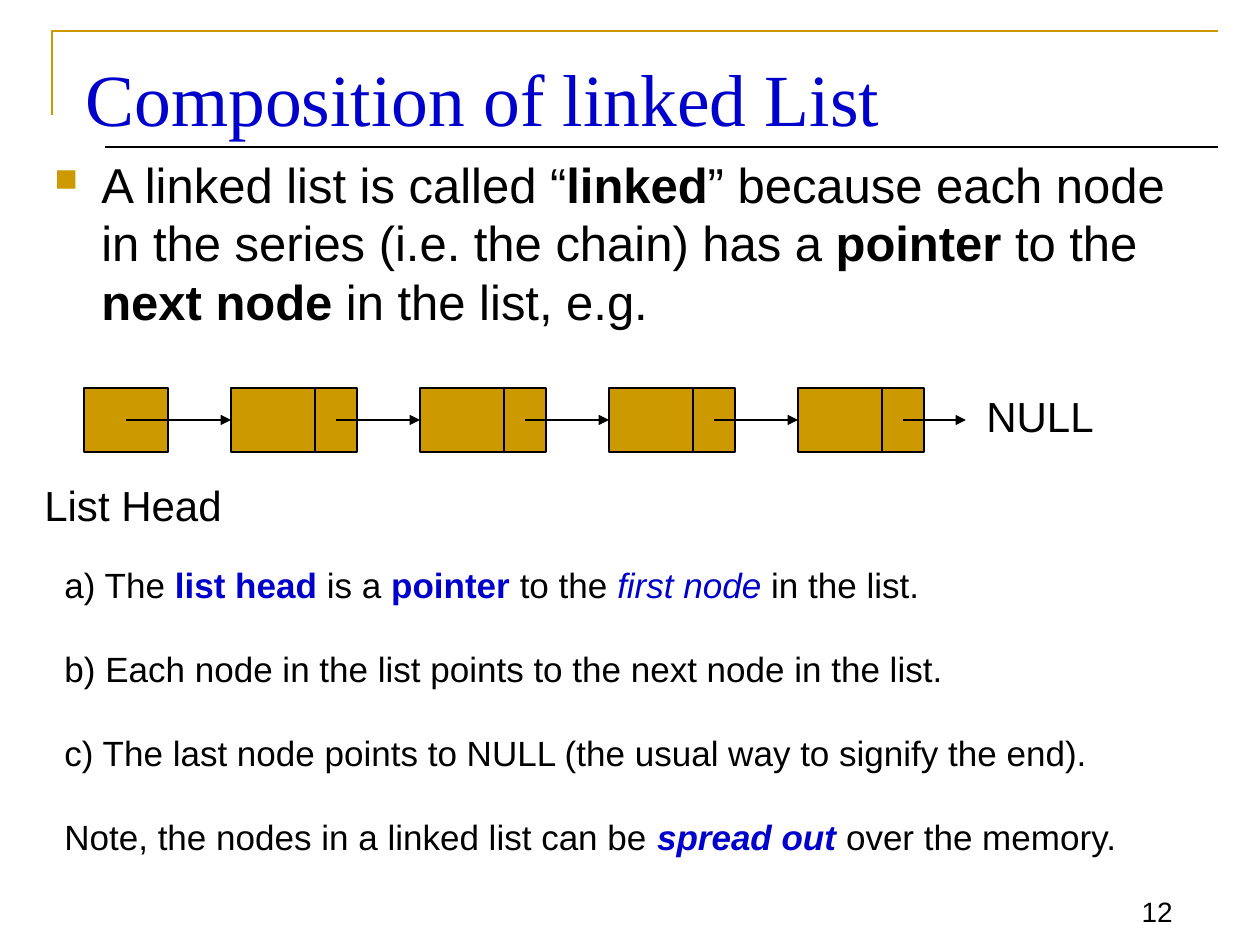
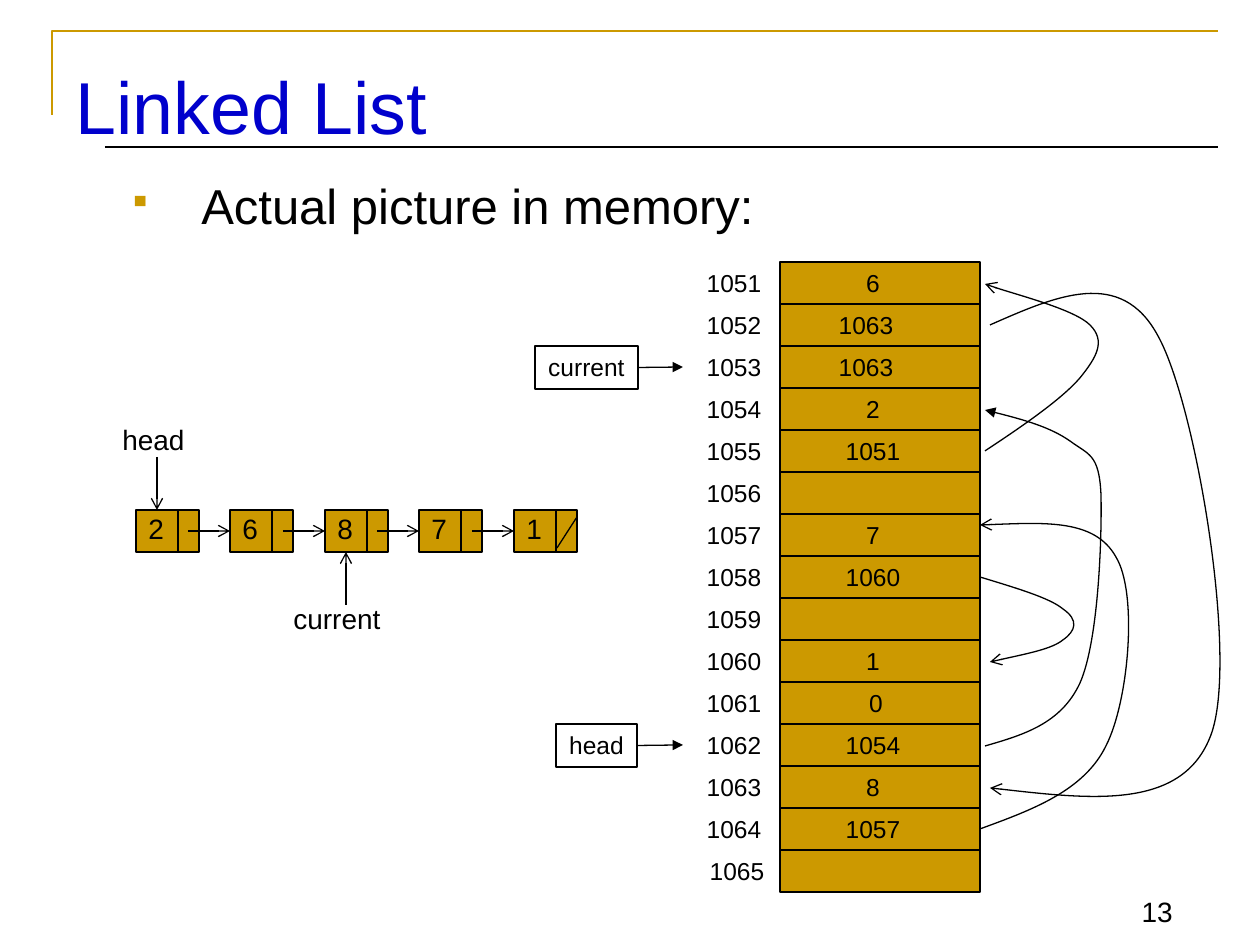
from lxml import etree
from pptx import Presentation
from pptx import util as u
from pptx.dml.color import RGBColor
from pptx.enum import shapes, text
from pptx.oxml import ns

PX = 7257  # EMU in one px, 126 px to the inch
GOLD, BLUE, BLACK = "CC9900", "0000CC", "000000"
RECT = shapes.MSO_SHAPE.RECTANGLE
LINE = shapes.MSO_CONNECTOR.STRAIGHT
LEFT, CENTER, RIGHT = text.PP_ALIGN.LEFT, text.PP_ALIGN.CENTER, text.PP_ALIGN.RIGHT
rgb = RGBColor.from_string


def write(sp, paras, size, font="Arial", color=BLACK, align=LEFT, wrap=False, gap=0, bullet=None):
    """Fill sp; each run is (words, marks): b bold, i italic, c blue."""
    tf = sp.text_frame
    tf.word_wrap = wrap
    tf.vertical_anchor = text.MSO_ANCHOR.TOP
    for n, runs in enumerate(paras):
        p = tf.add_paragraph() if n else tf.paragraphs[0]
        p.alignment = align
        if n and gap:
            p.space_before = u.Pt(gap)
        if bullet:
            char, indent = bullet
            pPr = p._p.get_or_add_pPr()
            pPr.set("marL", str(indent * PX))
            pPr.set("indent", str(-indent * PX))
            clr = etree.SubElement(pPr, ns.qn("a:buClr"))
            etree.SubElement(clr, ns.qn("a:srgbClr"), val=GOLD)
            etree.SubElement(pPr, ns.qn("a:buSzPct"), val="65000")
            etree.SubElement(pPr, ns.qn("a:buChar"), char=char)
        for words, marks in runs:
            r = p.add_run()
            r.text = words
            r.font.size, r.font.name = u.Pt(size), font
            r.font.bold, r.font.italic = "b" in marks, "i" in marks
            r.font.color.rgb = rgb(BLUE if "c" in marks else color)
    return tf


def stroke(sp, color=BLACK, width=0.75, tail=None, fill=None):
    """Set outline, arrowhead and fill, and drop the shadow."""
    sp.line.color.rgb = rgb(color)
    sp.line.width = u.Pt(width)
    if tail:
        etree.SubElement(sp.line._get_or_add_ln(), ns.qn("a:tailEnd"), type=tail)
    if hasattr(sp, "fill"):
        sp.shadow.inherit = False
        if fill:
            sp.fill.solid()
            sp.fill.fore_color.rgb = rgb(fill)
        else:
            sp.fill.background()
    else:
        etree.SubElement(sp._element.spPr, ns.qn("a:effectLst"))
    return sp


prs = Presentation()
prs.slide_width, prs.slide_height = u.Inches(10), u.Inches(7.5)

# Shared frame: gold corner, rule, title, page number
pages = [
    ("Composition of linked List", "Times New Roman", (73, 42, 1144, 94), "12"),
    ("Linked List", "Arial", (63, 50, 1134, 126), "13"),
]
slides = []
for title, font, box, number in pages:
    s = prs.slides.add_slide(prs.slide_layouts[6])
    slides.append(s)
    fb = s.shapes.build_freeform(52, 115, scale=PX)
    fb.add_line_segments([(52, 31), (1218, 31)], close=False)
    stroke(fb.convert_to_shape(), GOLD, 1.5)
    stroke(s.shapes.add_connector(LINE, 105 * PX, 147 * PX, 1218 * PX, 147 * PX))
    sp = s.shapes.add_textbox(*[v * PX for v in box])
    tf = write(sp, [[(title, "")]], 42, font, BLUE, wrap=True)
    tf.margin_top = 11 * PX
    sp = s.shapes.add_textbox(1102 * PX, 872 * PX, 83 * PX, 62 * PX)
    tf = write(sp, [[(number, "")]], 16, align=RIGHT, wrap=True)
    tf.vertical_anchor = text.MSO_ANCHOR.BOTTOM

# ---- Slide 1: composition ----
s = slides[0]
sp = s.shapes.add_textbox(42 * PX, 148 * PX, 1176 * PX, 189 * PX)
write(sp, [[("A linked list is called “", ""), ("linked", "b"),
            ("” because each node in the series (i.e. the chain) has a ", ""),
            ("pointer", "b"), (" to the ", ""), ("next node", "b"),
            (" in the list, e.g.", "")]], 28, wrap=True, bullet=("■", 47))

# List head, then four nodes, each split into data and pointer
top, high = 388, 64
mid = top + high // 2
stroke(s.shapes.add_shape(RECT, 84 * PX, top * PX, 84 * PX, high * PX), fill=GOLD)
start = 126
for x in range(231, 799, 189):
    node = s.shapes.add_shape(RECT, x * PX, top * PX, 126 * PX, high * PX)
    stroke(node, fill=GOLD)
    split = x + 84
    stroke(s.shapes.add_connector(LINE, split * PX, top * PX, split * PX, (top + high) * PX))
    arrow = s.shapes.add_connector(LINE, start * PX, mid * PX, x * PX, mid * PX)
    arrow.end_connect(node, 1)
    stroke(arrow, tail="triangle")
    start = x + 105
arrow = s.shapes.add_connector(LINE, start * PX, mid * PX, 966 * PX, mid * PX)
stroke(arrow, tail="triangle")

for words, x, y, w in [("List Head", 32, 473, 205), ("NULL", 974, 384, 137)]:
    sp = s.shapes.add_textbox(x * PX, y * PX, w * PX, 63 * PX)
    write(sp, [[(words, "")]], 24)

# Remarks
remarks = [
    [("a) The ", ""), ("list head ", "bc"), ("is a ", ""), ("pointer ", "bc"),
     ("to the ", ""), ("first node", "ic"), (" in the list.", "")],
    [("b) Each node in the list points to the next node in the list.", "")],
    [("c) The last node points to NULL (the usual way to signify the end).", "")],
    [("Note, the nodes in a linked list can be ", ""), ("spread out ", "bic"),
     ("over the memory.", "")],
]
sp = s.shapes.add_textbox(52 * PX, 557 * PX, 1144 * PX, 310 * PX)
write(sp, remarks, 20, wrap=True, gap=24)

# ---- Slide 2: memory ----
s = slides[1]
sp = s.shapes.add_textbox(116 * PX, 181 * PX, 1134 * PX, 95 * PX)
tf = write(sp, [[("Actual picture in memory:", "")]], 28, wrap=True, bullet=("▪", 73))
tf.paragraphs[0].line_spacing = 0.8

# Memory cells with their addresses
cells = ["6", "1063", "1063", "2", "1051", "", "7", "1060", "", "1", "0", "1054", "8", "1057", ""]
nudge = {"1063": -7, "0": 3}
left, top, wide, row = 780, 262, 200, 42
sp = s.shapes.add_shape(RECT, left * PX, top * PX, wide * PX, len(cells) * row * PX)
stroke(sp, fill=GOLD)
for n, value in enumerate(cells):
    y = top + n * row
    if n:
        stroke(s.shapes.add_connector(LINE, left * PX, y * PX, (left + wide) * PX, y * PX))
    address = str(1051 + n)
    center = 737 if address == "1065" else 734
    labels = [(address, center)]
    if value:
        labels.append((value, 873 + nudge.get(value, 0)))
    for words, x in labels:
        sp = s.shapes.add_textbox((x - 40) * PX, y * PX, 80 * PX, row * PX)
        write(sp, [[(words, "")]], 14, align=CENTER)

# Boxed variables pointing at an address
for words, x, y, w in [("current", 535, 346, 103), ("head", 556, 724, 81)]:
    sp = stroke(s.shapes.add_shape(RECT, x * PX, y * PX, w * PX, 43 * PX))
    write(sp, [[(words, "")]], 14, align=CENTER)
    arrow = s.shapes.add_connector(LINE, 640 * PX, (y + 21) * PX, 683 * PX, (y + 21) * PX)
    arrow.begin_connect(sp, 3)
    stroke(arrow, tail="triangle")

# Curved links: start point, then two control points and an end point per bend
curves = [
    ("arrow", [(985, 451), (1023, 426), (1062, 399), (1080, 378),
               (1097, 357), (1106, 341), (1090, 325), (1075, 310), (1003, 291), (985, 284)]),
    ("arrow", [(990, 325), (1056, 296), (1121, 267), (1158, 336),
               (1196, 404), (1239, 660), (1211, 735), (1183, 810), (1086, 799), (990, 788)]),
    ("arrow", [(980, 829), (1032, 810), (1084, 791), (1106, 746),
               (1129, 701), (1138, 593), (1116, 557), (1095, 519), (1038, 523), (980, 525)]),
    ("arrow", [(980, 577), (1016, 588), (1050, 598), (1063, 609),
               (1079, 620), (1076, 631), (1063, 640), (1052, 649), (1021, 655), (990, 662)]),
    ("triangle", [(985, 746), (1023, 735), (1061, 724), (1080, 683),
                  (1099, 640), (1102, 534), (1101, 494), (1099, 454), (1089, 455), (1070, 441),
                  (1050, 427), (1018, 418), (985, 410)]),
]
for tail, points in curves:
    fb = s.shapes.build_freeform(*points[0], scale=PX)
    fb.add_line_segments(points[1:], close=False)
    sp = stroke(fb.convert_to_shape(), tail=tail)
    # Every three straight segments become one Bézier segment
    segments = sp._element.findall(".//" + ns.qn("a:lnTo"))
    for n in range(0, len(segments), 3):
        bend = etree.Element(ns.qn("a:cubicBezTo"))
        segments[n].addprevious(bend)
        for seg in segments[n:n + 3]:
            bend.append(seg[0])
            seg.getparent().remove(seg)

# Logical list
top, high = 510, 42
mid = top + high // 2
for n, value in enumerate("26871"):
    x = 136 + n * 189 // 2
    node = s.shapes.add_shape(RECT, x * PX, top * PX, 63 * PX, high * PX)
    stroke(node, fill=GOLD)
    split = x + 42
    stroke(s.shapes.add_connector(LINE, split * PX, top * PX, split * PX, (top + high) * PX))
    sp = s.shapes.add_textbox(x * PX, 505 * PX, 34 * PX, 47 * PX)
    write(sp, [[(value, "")]], 16)
    if n:
        arrow = s.shapes.add_connector(LINE, (x - 42) * PX, mid * PX, x * PX, mid * PX)
        arrow.end_connect(node, 1)
        stroke(arrow, tail="arrow")
stroke(s.shapes.add_connector(LINE, 577 * PX, 517 * PX, 557 * PX, 548 * PX))

# Pointers into the logical list
pointers = [("head", 110, 416, 87, 157, 457, top),
            ("current", 281, 595, 112, 346, 605, top + high)]
for words, x, y, w, tip, begin, end in pointers:
    sp = s.shapes.add_textbox(x * PX, y * PX, w * PX, 47 * PX)
    write(sp, [[(words, "")]], 16, align=CENTER)
    arrow = s.shapes.add_connector(LINE, tip * PX, begin * PX, tip * PX, end * PX)
    stroke(arrow, tail="arrow")

prs.save("out.pptx")
